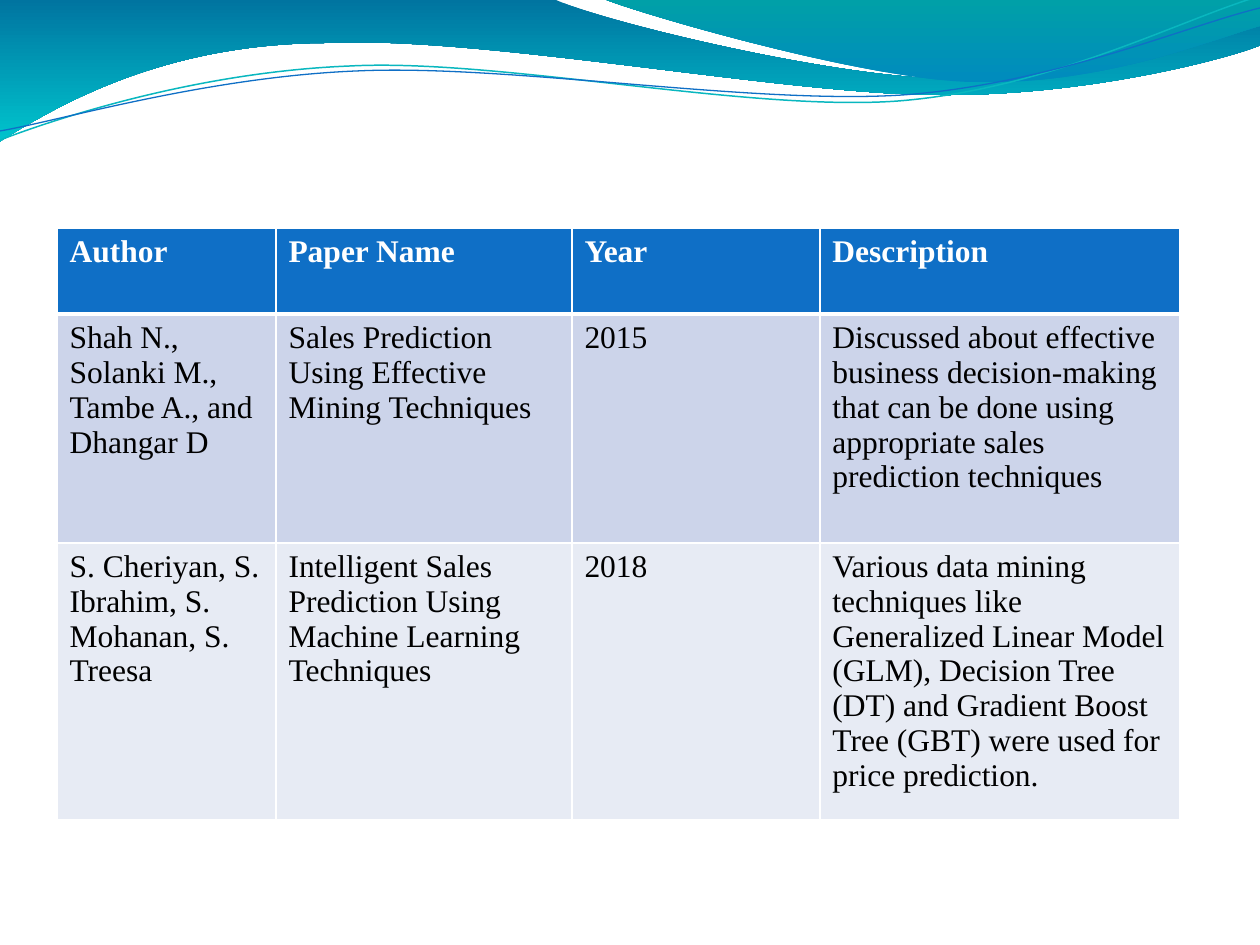
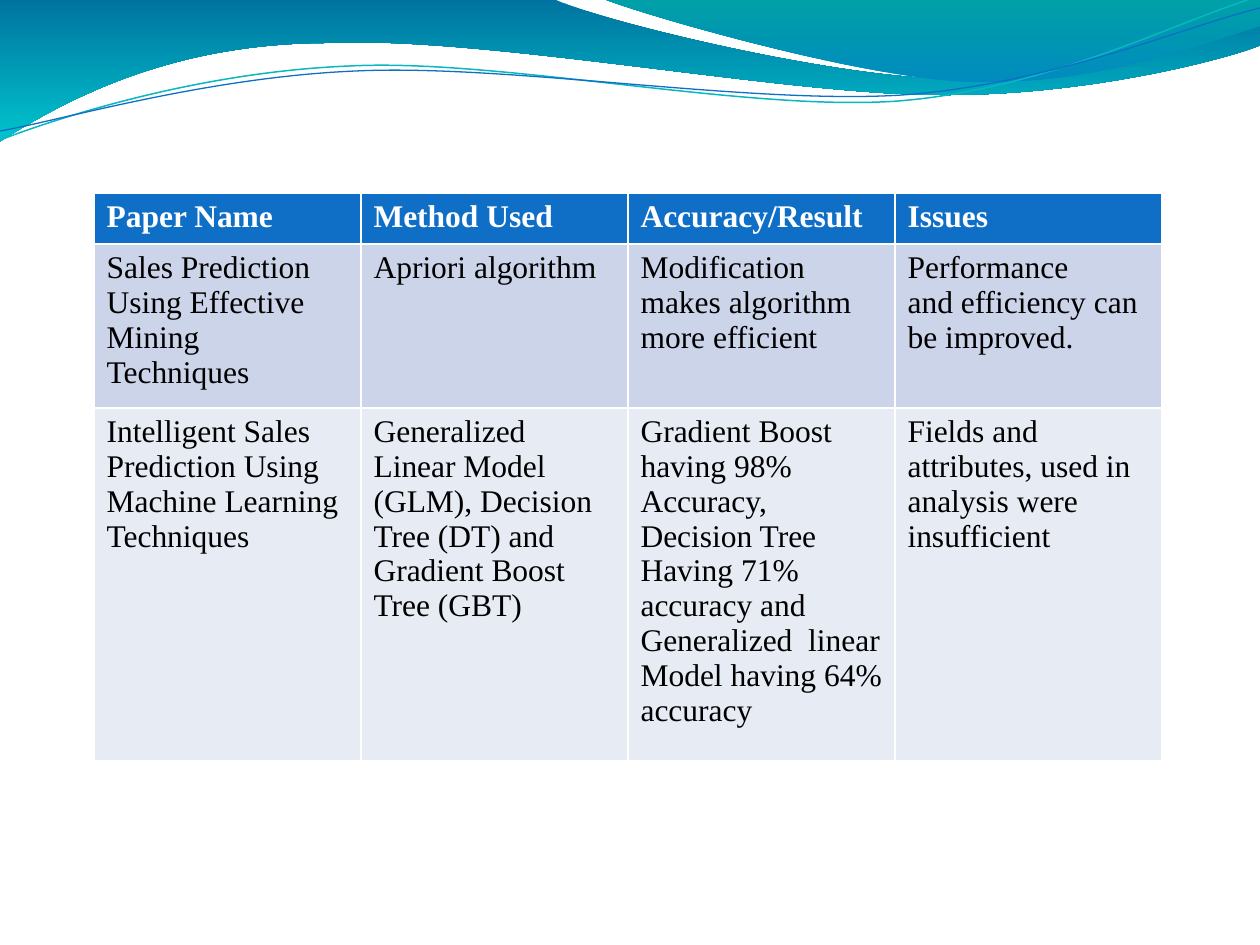
"""Build two literature survey slides that share a wave header."""
from dataclasses import dataclass

from lxml.etree import SubElement
from pptx import Presentation
from pptx.dml.color import RGBColor as RGB
from pptx.oxml.ns import qn
from pptx.util import Pt

SCALE = 914400 / 126
WIDE, HIGH = 1260, 945
FONT, SIZE = "Times New Roman", 18
THIN, THICK = 0.96, 3

WHITE = RGB(0xFF, 0xFF, 0xFF)
BLACK = RGB(0, 0, 0)
BLUE = RGB(0x0F, 0x6F, 0xC6)
TEAL = RGB(0x09, 0xB7, 0xBF)
DEEP = RGB(0, 0x74, 0xA0)
AQUA = RGB(0, 0xC4, 0xCD)
SKY = RGB(0, 0x8A, 0xBF)
SEA = RGB(0, 0xA0, 0xA8)
BANDS = (RGB(0xCC, 0xD4, 0xEA), RGB(0xE7, 0xEB, 0xF4))

Point = tuple[int, int]


@dataclass(frozen=True)
class Wave:
    start: Point
    legs: tuple[tuple[Point, ...], ...]
    hues: tuple[RGB, ...]
    angle: int = 0
    width: float = 0


@dataclass(frozen=True)
class Grid:
    left: int
    top: int
    cols: tuple[int, ...]
    rows: tuple[int, ...]
    rule: float
    cells: tuple[tuple[str, ...], ...]


WAVES = (
    Wave((0, 0), (
        ((554, -1),),
        ((600, 21), (837, 79), (955, 79)),
        ((1075, 79), (1207, 33), (1260, 11)),
        ((1261, 45),),
        ((1239, 55), (1096, 96), (940, 95)),
        ((784, 95), (481, 35), (324, 43)),
        ((163, 44), (58, 105), (-1, 142)),
    ), (DEEP, AQUA), angle=270),
    Wave((604, -1), (
        ((641, 14), (859, 78), (969, 82)),
        ((1097, 87), (1211, 40), (1260, 26)),
        ((1260, 0),),
    ), (SKY, SEA), angle=90),
    Wave((0, 140), (
        ((60, 117), (199, 72), (349, 66)),
        ((498, 58), (747, 112), (898, 101)),
        ((1050, 89), (1182, 19), (1257, -3)),
    ), (TEAL,), width=0.85),
    Wave((0, 131), (
        ((59, 121), (207, 77), (357, 71)),
        ((508, 64), (752, 105), (903, 95)),
        ((1053, 84), (1186, 26), (1260, 8)),
    ), (BLUE,), width=0.75),
)

SALES = "Sales Prediction Using Effective Mining Techniques"
SMART = "Intelligent Sales Prediction Using Machine Learning Techniques"
MODELS = ("Generalized Linear Model (GLM), Decision Tree (DT) "
          "and Gradient Boost Tree (GBT)")

GRIDS = (
    Grid(57, 228, (219, 296, 248, 360), (86, 229, 277), THICK, (
        ("Author", "Paper Name", "Year", "Description"),
        ("Shah N., Solanki M., Tambe A., and Dhangar D", SALES, "2015",
         "Discussed about effective business decision-making that can be "
         "done using appropriate sales prediction techniques"),
        ("S. Cheriyan, S. Ibrahim, S. Mohanan, S. Treesa", SMART, "2018",
         f"Various data mining techniques like {MODELS} "
         "were used for price prediction."),
    )),
    Grid(94, 193, (267,) * 4, (51, 164, 353), THIN, (
        ("Paper Name", "Method Used", "Accuracy/Result", "Issues"),
        (SALES, "Apriori algorithm",
         "Modification makes algorithm more efficient",
         "Performance\nand efficiency can be improved."),
        (SMART, MODELS,
         "Gradient Boost having 98%\nAccuracy, Decision Tree\n"
         "Having 71% accuracy and Generalized  linear Model having "
         "64% accuracy",
         "Fields and attributes, used in analysis were\ninsufficient"),
    )),
)


def px(size: float) -> int:
    """Turn px into EMU."""
    return round(size * SCALE)


def curve(shape, wave: Wave) -> None:
    """Join each three straight steps of a curved leg into one curve."""
    steps = iter(list(shape.element.iter(qn("a:lnTo"))))
    for leg in wave.legs:
        parts = [next(steps) for _ in leg]
        if len(parts) == 3:
            first = parts[0]
            first.tag = qn("a:cubicBezTo")
            for part in parts[1:]:
                first.append(part[0])
                part.getparent().remove(part)


def draw_wave(slide, wave: Wave):
    """Draw one filled ribbon or one thin curve."""
    x, y = wave.start
    pen = slide.shapes.build_freeform(px(x), px(y))
    dots = [(px(x), px(y)) for leg in wave.legs for x, y in leg]
    pen.add_line_segments(dots, close=not wave.width)
    shape = pen.convert_to_shape()
    curve(shape, wave)
    shape.shadow.inherit = False
    if wave.width:
        shape.fill.background()
        shape.line.color.rgb = wave.hues[0]
        shape.line.width = Pt(wave.width)
    else:
        shape.line.fill.background()
        shape.fill.gradient()
        shape.fill.gradient_angle = wave.angle
        for stop, hue in zip(shape.fill.gradient_stops, wave.hues):
            stop.color.rgb = hue
    return shape


def share_waves(deck, slide) -> None:
    """Draw the waves and move them to the slide master."""
    tree = deck.slide_master.shapes.element
    for index, wave in enumerate(WAVES, 20):
        item = draw_wave(slide, wave).element
        item.nvSpPr.cNvPr.id = index
        tree.append(item)


def edge(cell, sides: dict[str, float]) -> None:
    """Put white borders ahead of the fill of a cell."""
    props = cell._tc.get_or_add_tcPr()
    for spot, (side, width) in enumerate(sides.items()):
        line = SubElement(props, qn(f"a:ln{side}"), w=str(Pt(width)))
        fill = SubElement(line, qn("a:solidFill"))
        SubElement(fill, qn("a:srgbClr"), val=str(WHITE))
        props.insert(spot, line)


def style(cell, text: str, row: int, rule: float) -> None:
    """Fill, border and write one cell."""
    head = row == 0
    cell.fill.solid()
    cell.fill.fore_color.rgb = BLUE if head else BANDS[(row - 1) % 2]
    edge(cell, {"L": THIN, "R": THIN,
                "T": rule if row == 1 else THIN,
                "B": rule if head else THIN})
    cell.text = text
    for para in cell.text_frame.paragraphs:
        font = para.font
        font.name, font.size, font.bold = FONT, Pt(SIZE), head
        font.color.rgb = WHITE if head else BLACK


def draw_grid(slide, grid: Grid) -> None:
    """Add a table with its sizes and texts."""
    table = slide.shapes.add_table(
        len(grid.rows), len(grid.cols), px(grid.left), px(grid.top),
        px(sum(grid.cols)), px(sum(grid.rows))).table
    for col, width in zip(table.columns, grid.cols):
        col.width = px(width)
    for row, height in zip(table.rows, grid.rows):
        row.height = px(height)
    for r, texts in enumerate(grid.cells):
        for c, text in enumerate(texts):
            style(table.cell(r, c), text, r, grid.rule)


def main() -> None:
    """Build and save the deck."""
    deck = Presentation()
    deck.slide_width, deck.slide_height = px(WIDE), px(HIGH)
    blank = deck.slide_layouts[6]
    slides = [deck.slides.add_slide(blank) for _ in GRIDS]
    share_waves(deck, slides[0])
    for slide, grid in zip(slides, GRIDS):
        draw_grid(slide, grid)
    deck.save("out.pptx")


if __name__ == "__main__":
    main()
